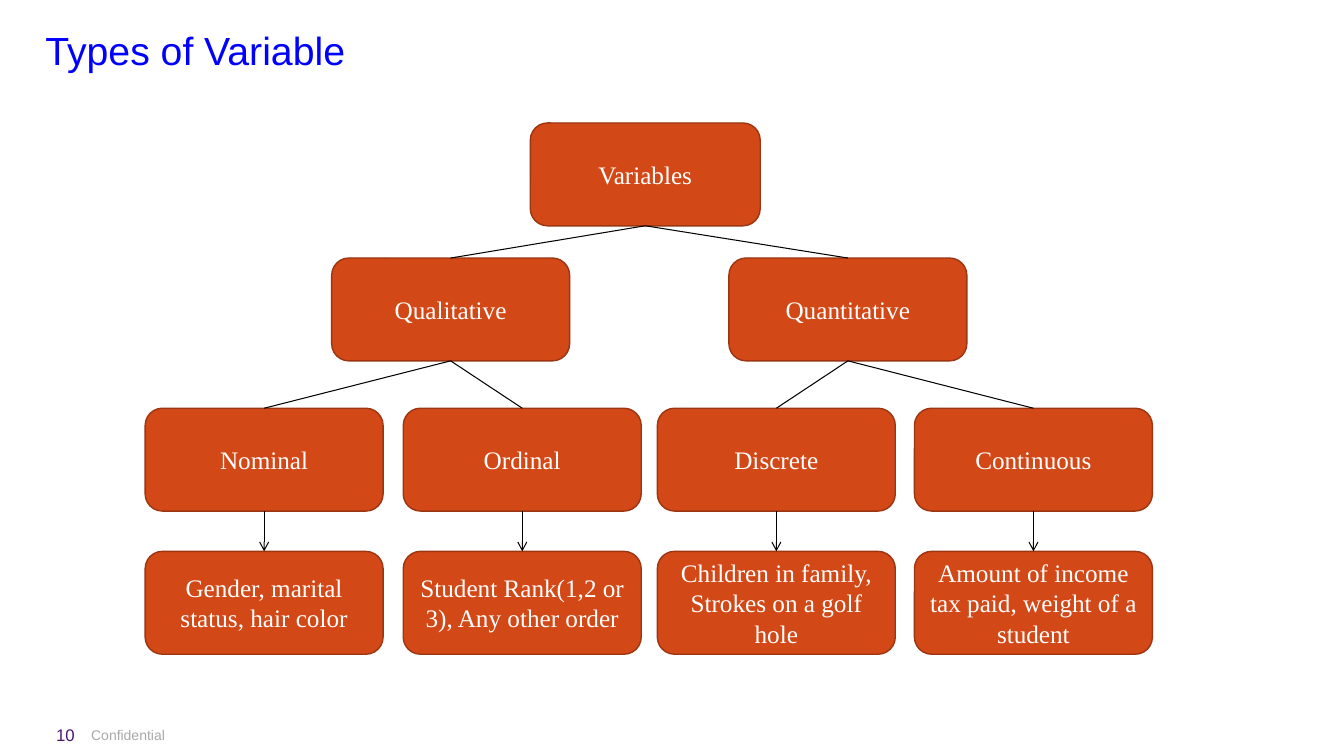
from dataclasses import dataclass

from pptx import Presentation
from pptx.dml.color import RGBColor
from pptx.enum.shapes import MSO_CONNECTOR, MSO_SHAPE
from pptx.enum.text import MSO_ANCHOR, PP_ALIGN
from pptx.oxml.ns import qn
from pptx.util import Inches, Pt

ROUNDED = MSO_SHAPE.ROUNDED_RECTANGLE
STRAIGHT = MSO_CONNECTOR.STRAIGHT
TOP, MIDDLE = MSO_ANCHOR.TOP, MSO_ANCHOR.MIDDLE
LEFT, CENTER, RIGHT = PP_ALIGN.LEFT, PP_ALIGN.CENTER, PP_ALIGN.RIGHT
TOP_SITE, BOTTOM_SITE = 0, 2

BOX_FILL, BOX_LINE = "D34817", "9C3511"
BOX_W, BOX_H = 2.36, 1.02
LEVEL_TOPS = [1.22, 2.56, 4.05, 5.47]


@dataclass
class Node:
    text: str
    level: int
    left: float
    parent: str = ""
    width: float = BOX_W
    arrow: bool = False


@dataclass
class Branch:
    kind: str
    parent: str
    left: float
    examples: str


BRANCHES = [
    Branch("Nominal", "Qualitative", 1.44, "Gender, marital status, hair color"),
    Branch("Ordinal", "Qualitative", 4, "Student Rank(1,2 or 3), Any other order"),
    Branch("Discrete", "Quantitative", 6.52, "Children in family, Strokes on a golf hole"),
    Branch("Continuous", "Quantitative", 9.07, "Amount of income tax paid, weight of a student"),
]
NODES = [
    Node("Variables", 0, 5.26, width=2.28),
    Node("Qualitative", 1, 3.29, "Variables"),
    Node("Quantitative", 1, 7.23, "Variables"),
    *[Node(b.kind, 2, b.left, b.parent) for b in BRANCHES],
    *[Node(b.examples, 3, b.left, b.kind, arrow=True) for b in BRANCHES],
]


def rgb(color: str) -> RGBColor:
    return RGBColor.from_string(color)


def set_text(sp, text: str, *, size: float, color: str, font: str = "Arial",
             align=LEFT, anchor=TOP, spacing: float = 1.0) -> None:
    tf = sp.text_frame
    tf.word_wrap = True
    tf.vertical_anchor = anchor
    p = tf.paragraphs[0]
    p.alignment = align
    p.line_spacing = spacing
    r = p.add_run()
    r.text = text
    r.font.size = Pt(size)
    r.font.name = font
    r.font.bold = False
    r.font.color.rgb = rgb(color)


def add_box(slide, node: Node):
    sp = slide.shapes.add_shape(ROUNDED, Inches(node.left), Inches(LEVEL_TOPS[node.level]),
                                Inches(node.width), Inches(BOX_H))
    sp.shadow.inherit = False
    sp.fill.solid()
    sp.fill.fore_color.rgb = rgb(BOX_FILL)
    sp.line.color.rgb = rgb(BOX_LINE)
    sp.line.width = Pt(1)
    set_text(sp, node.text, size=18, color="FFFFFF", font="Times New Roman",
             align=CENTER, anchor=MIDDLE)
    return sp


def link(slide, parent, child, arrow: bool) -> None:
    """Join the bottom of the parent box to the top of the child box."""
    cn = slide.shapes.add_connector(STRAIGHT, 0, 0, 0, 0)
    cn.begin_connect(parent, BOTTOM_SITE)
    cn.end_connect(child, TOP_SITE)
    cn.line.color.rgb = rgb("000000")
    cn.line.width = Pt(0.75)
    if arrow:
        ln = cn.line._get_or_add_ln()
        ln.append(ln.makeelement(qn("a:tailEnd"), {"type": "arrow"}))
    sp_pr = cn._element.spPr
    sp_pr.append(sp_pr.makeelement(qn("a:effectLst"), {}))


def add_label(slide, text: str, left: float, top: float, width: float, height: float,
              **fmt) -> None:
    sp = slide.shapes.add_textbox(Inches(left), Inches(top), Inches(width), Inches(height))
    set_text(sp, text, **fmt)


def main() -> None:
    prs = Presentation()
    prs.slide_width, prs.slide_height = Inches(13.33), Inches(7.5)
    slide = prs.slides.add_slide(prs.slide_layouts[5])

    title = slide.shapes.title
    title.left, title.top = Inches(0.35), Inches(0.26)
    title.width, title.height = Inches(11.33), Inches(0.74)
    set_text(title, "Types of Variable", size=28, color="0000FF", spacing=0.9)

    add_label(slide, "Confidential", -0.46, 7.16, 3.46, 0.27,
              size=10, color="A9A9A9", align=CENTER)
    add_label(slide, "10", 0, 7.14, 0.84, 0.3, size=12, color="49166D", align=RIGHT)

    boxes = {node.text: add_box(slide, node) for node in NODES}
    for node in NODES:
        if node.parent:
            link(slide, boxes[node.parent], boxes[node.text], node.arrow)

    prs.save("out.pptx")


if __name__ == "__main__":
    main()
